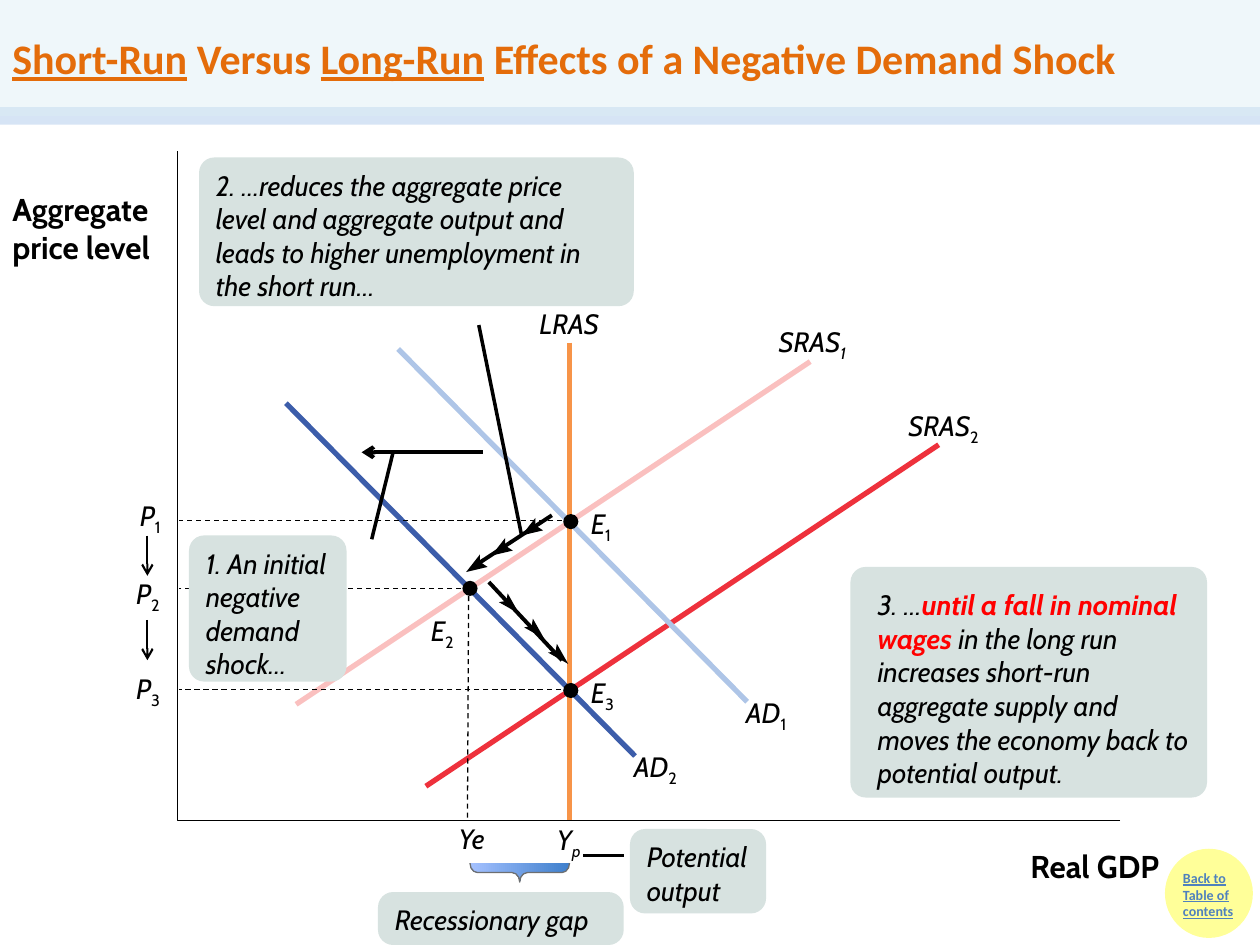
from dataclasses import dataclass, field
from typing import NamedTuple, Optional

from lxml.etree import SubElement
from pptx import Presentation
from pptx.dml.color import RGBColor
from pptx.enum.dml import MSO_LINE
from pptx.enum.shapes import MSO_CONNECTOR, MSO_SHAPE
from pptx.enum.text import MSO_ANCHOR, PP_ALIGN
from pptx.oxml.ns import qn
from pptx.util import Inches, Pt

COLORS = {
    "black": "000000", "red": "FF0000", "title": "E46C0A", "band": "DBEEF4",
    "rule": "C6D9F1", "badge": "FFFF99", "link": "4F81BD", "note": "D7E2E0",
    "sras1": "FAC0BF", "sras2": "EE313C", "ad1": "AEC5E7", "ad2": "3C5DAA",
    "lras": "F79448", "brace": "6D6F71",
}
BODY = {"name": "Cabin", "size": Pt(16), "italic": True}
AXIS_TITLE = {"name": "Cabin", "size": Pt(18), "bold": True}
TITLE = {"name": "Calibri", "size": Pt(24), "bold": True}
LINK = {"name": "Calibri", "size": Pt(8), "bold": True, "underline": True}
INSETS = (0.1, 0.05, 0.1, 0.05)


class Span(NamedTuple):
    text: str
    changes: dict = {}
    color: str = "black"
    subscript: bool = False


class Line(NamedTuple):
    start: tuple[float, float]
    end: tuple[float, float]
    color: str = "black"
    width: float = 0
    dash: bool = False
    arrow: bool = False


class Label(NamedTuple):
    left: float
    top: float
    width: float
    name: str
    index: str = ""
    slanted_index: bool = False


@dataclass
class Note:
    box: tuple[float, float, float, float]
    paragraphs: list[list[Span]]
    insets: tuple[float, float, float, float] = field(default=INSETS)


def rgb(name: str) -> RGBColor:
    return RGBColor.from_string(COLORS[name])


def set_alpha(fill, percent: int) -> None:
    """Give the solid colour inside an XML parent a partial opacity."""
    color = fill.find(".//" + qn("a:srgbClr"))
    SubElement(color, qn("a:alpha")).set("val", str(percent * 1000))


def write(shape, paragraphs: list[list[Span]], style: dict, insets=INSETS,
          wrap: bool = True, anchor=MSO_ANCHOR.TOP) -> None:
    frame = shape.text_frame
    frame.word_wrap = wrap
    frame.vertical_anchor = anchor
    for side, inset in zip(("left", "top", "right", "bottom"), insets):
        setattr(frame, f"margin_{side}", Inches(inset))
    for number, spans in enumerate(paragraphs):
        paragraph = frame.add_paragraph() if number else frame.paragraphs[0]
        paragraph.alignment = PP_ALIGN.LEFT
        for span in spans:
            run = paragraph.add_run()
            run.text = span.text
            for attribute, value in {**style, **span.changes}.items():
                setattr(run.font, attribute, value)
            run.font.color.rgb = rgb(span.color)
            if span.subscript:
                run._r.get_or_add_rPr().set("baseline", "-25000")


def add_text(slide, box: tuple, paragraphs: list[list[Span]], style: dict, **layout) -> None:
    write(slide.shapes.add_textbox(*map(Inches, box)), paragraphs, style, **layout)


def add_filled(slide, kind, box: tuple, color: str):
    shape = slide.shapes.add_shape(kind, *map(Inches, box))
    shape.shadow.inherit = False
    shape.fill.solid()
    shape.fill.fore_color.rgb = rgb(color)
    shape.line.fill.background()
    return shape


def add_line(slide, line: Line):
    connector = slide.shapes.add_connector(
        MSO_CONNECTOR.STRAIGHT, *map(Inches, (*line.start, *line.end)))
    connector.line.color.rgb = rgb(line.color)
    connector.line.width = Pt(line.width)
    if line.dash:
        connector.line.dash_style = MSO_LINE.DASH
    if line.arrow:
        SubElement(connector.line._get_or_add_ln(), qn("a:tailEnd")).set("type", "arrow")
    SubElement(connector._element.spPr, qn("a:effectLst"))
    return connector


def add_path(slide, points: list[tuple[float, float]], closed: bool):
    start, *rest = [(Inches(x), Inches(y)) for x, y in points]
    builder = slide.shapes.build_freeform(*start)
    builder.add_line_segments(rest, close=closed)
    shape = builder.convert_to_shape()
    shape.shadow.inherit = False
    return shape


def add_arrowhead(slide, tip: tuple[float, float], barbs: list[tuple[float, float]]) -> None:
    """Draw a notched head from its tip and the offsets of its other corners."""
    head = add_path(slide, [tip] + [(tip[0] + dx, tip[1] + dy) for dx, dy in barbs], True)
    head.fill.solid()
    head.fill.fore_color.rgb = rgb("black")
    head.line.fill.background()


def add_note(slide, note: Note) -> None:
    shape = add_filled(slide, MSO_SHAPE.ROUNDED_RECTANGLE, note.box, "note")
    shape.adjustments[0] = 0.12 / min(note.box[2:])
    write(shape, note.paragraphs, BODY, insets=note.insets)


def add_label(slide, label: Label) -> None:
    spans = [Span(label.name)]
    if label.index:
        spans.append(Span(label.index, {"italic": label.slanted_index}, subscript=True))
    add_text(slide, (label.left, label.top, label.width, 0.27), [spans], BODY,
             insets=(0, 0, 0, 0), wrap=False)


LINES = [
    Line((2.35, 5.59), (6.43, 2.87), "sras1", 3),
    Line((5.04, 6), (2.27, 3.2), "ad2", 3),
    Line((3.38, 6.24), (7.45, 3.53), "sras2", 3),
    Line((4.52, 2.72), (4.52, 6.51), "lras", 3),
    Line((5.93, 5.57), (3.16, 2.77), "ad1", 3),
    *[Line((x, y), (1.42, y), width=0.75, dash=True)
      for x, y in ((4.46, 4.13), (3.66, 4.67), (4.45, 5.47))],
    Line((3.71, 6.49), (3.72, 4.67), width=0.75, dash=True),
    Line((3.88, 4.62), (4.46, 5.24), width=2.25),
    Line((4.38, 4.09), (3.8, 4.47), width=2.25),
    Line((3.83, 3.59), (2.87, 3.59), width=2.25, arrow=True),
    *[Line((1.17, y), (1.17, y + 0.32), width=1.25, arrow=True) for y in (4.25, 4.92)],
]
LEADERS = [
    Line((4.63, 6.79), (4.95, 6.79)),
    Line((4.14, 4.25), (3.8, 2.58)),
    Line((2.95, 4.28), (3.12, 3.59)),
]
EQUILIBRIA = [(4.53, 4.14), (3.73, 4.67), (4.53, 5.48)]
ARROWHEADS = [
    ([(3.7, 4.54), (3.9, 4.41), (4.14, 4.25)], [(0.11, -0.14), (0.11, -0.08), (0.17, -0.04)]),
    ([(4.51, 5.27), (4.32, 5.07), (4.12, 4.87)], [(-0.09, -0.16), (-0.1, -0.1), (-0.16, -0.09)]),
]
LABELS = [
    Label(1.11, 3.96, 0.23, "P", "1"), Label(1.08, 4.58, 0.23, "P", "2"),
    Label(1.08, 5.33, 0.23, "P", "3"), Label(4.69, 4.02, 0.23, "E", "1"),
    Label(3.42, 4.87, 0.23, "E", "2"), Label(4.69, 5.36, 0.23, "E", "3"),
    Label(6.18, 2.58, 0.69, "SRAS", "1", True), Label(7.21, 3.24, 0.69, "SRAS", "2"),
    Label(5.92, 5.52, 0.39, "AD", "1"), Label(5.03, 5.95, 0.39, "AD", "2"),
    Label(4.28, 2.43, 0.58, "LRAS"), Label(3.64, 6.52, 0.26, "Ye"),
    Label(4.42, 6.53, 0.22, "Y", "p", True),
]
NOTES = [
    Note((1.5, 4.25, 1.25, 1.16),
         [[Span("1. An initial")], [Span("negative demand shock…")]], (0.1, 0.05, 0, 0.05)),
    Note((1.58, 1.25, 3.45, 1.18),
         [[Span("2. …reduces the aggregate price level and aggregate output and leads to "
                "higher unemployment in the short run…")]]),
    Note((6.75, 4.5, 2.83, 1.83),
         [[Span("3. …"), Span("until a fall in nominal wages", {"bold": True}, "red"),
           Span(" in the long run increases short-run aggregate supply and moves the "
                "economy back to potential output.")]], (0.18, 0.13, 0.1, 0.05)),
    Note((5, 6.58, 1.08, 0.67), [[Span("Potential")], [Span("output")]], (0.1, 0.05, 0, 0)),
    Note((3, 7.08, 1.95, 0.42), [[Span("Recessionary gap")]]),
]


def add_frame(slide) -> None:
    """Draw the title band, its rule and the contents badge."""
    rule = add_line(slide, Line((0, 0.92), (10, 0.92), "rule", 10))
    set_alpha(rule.line._get_or_add_ln(), 71)
    badge = add_filled(slide, MSO_SHAPE.OVAL, (9.26, 6.75, 0.67, 0.68), "badge")
    badge.line.color.rgb = rgb("badge")
    badge.line.width = Pt(2)
    add_text(slide, (9.29, 6.85, 0.72, 0.67),
             [[Span("Back to Table of contents", color="link")]], LINK)
    band = add_filled(slide, MSO_SHAPE.RECTANGLE, (0, 0, 10, 0.92), "band")
    set_alpha(band._element.spPr, 44)
    heading = [("Short-Run", True), (" Versus ", False), ("Long-Run", True),
               (" Effects of a Negative Demand Shock", False)]
    write(band, [[Span(text, {"underline": lined}, "title") for text, lined in heading]],
          TITLE, anchor=MSO_ANCHOR.MIDDLE)


def add_graph(slide) -> None:
    for line in LINES:
        add_line(slide, line)
    axes = add_path(slide, [(8.89, 6.51), (1.41, 6.51), (1.41, 1.2)], False)
    axes.fill.background()
    brace = slide.shapes.add_shape(
        MSO_SHAPE.LEFT_BRACE, *map(Inches, (4.05, 6.53, 0.15, 0.79)))
    brace.rotation = 270
    brace.adjustments[0] = 0.4
    brace.shadow.inherit = False
    for outline, color in ((axes, "black"), (brace, "brace")):
        outline.line.color.rgb = rgb(color)
        outline.line.width = Pt(0)
    for tips, barbs in ARROWHEADS:
        for tip in tips:
            add_arrowhead(slide, tip, barbs)
    for x, y in EQUILIBRIA:
        add_filled(slide, MSO_SHAPE.OVAL, (x - 0.06, y - 0.06, 0.12, 0.12), "black")
    for note in NOTES:
        add_note(slide, note)
    for leader in LEADERS:
        add_line(slide, leader)
    for label in LABELS:
        add_label(slide, label)
    add_text(slide, (0, 1.46, 1.67, 0.7), [[Span("Aggregate price level")]], AXIS_TITLE)
    add_text(slide, (8.08, 6.67, 1.58, 0.4), [[Span("Real GDP")]], AXIS_TITLE)


def main() -> None:
    deck = Presentation()
    deck.slide_width, deck.slide_height = Inches(10), Inches(7.5)
    slide = deck.slides.add_slide(deck.slide_layouts[6])
    add_frame(slide)
    add_graph(slide)
    deck.save("out.pptx")


if __name__ == "__main__":
    main()
